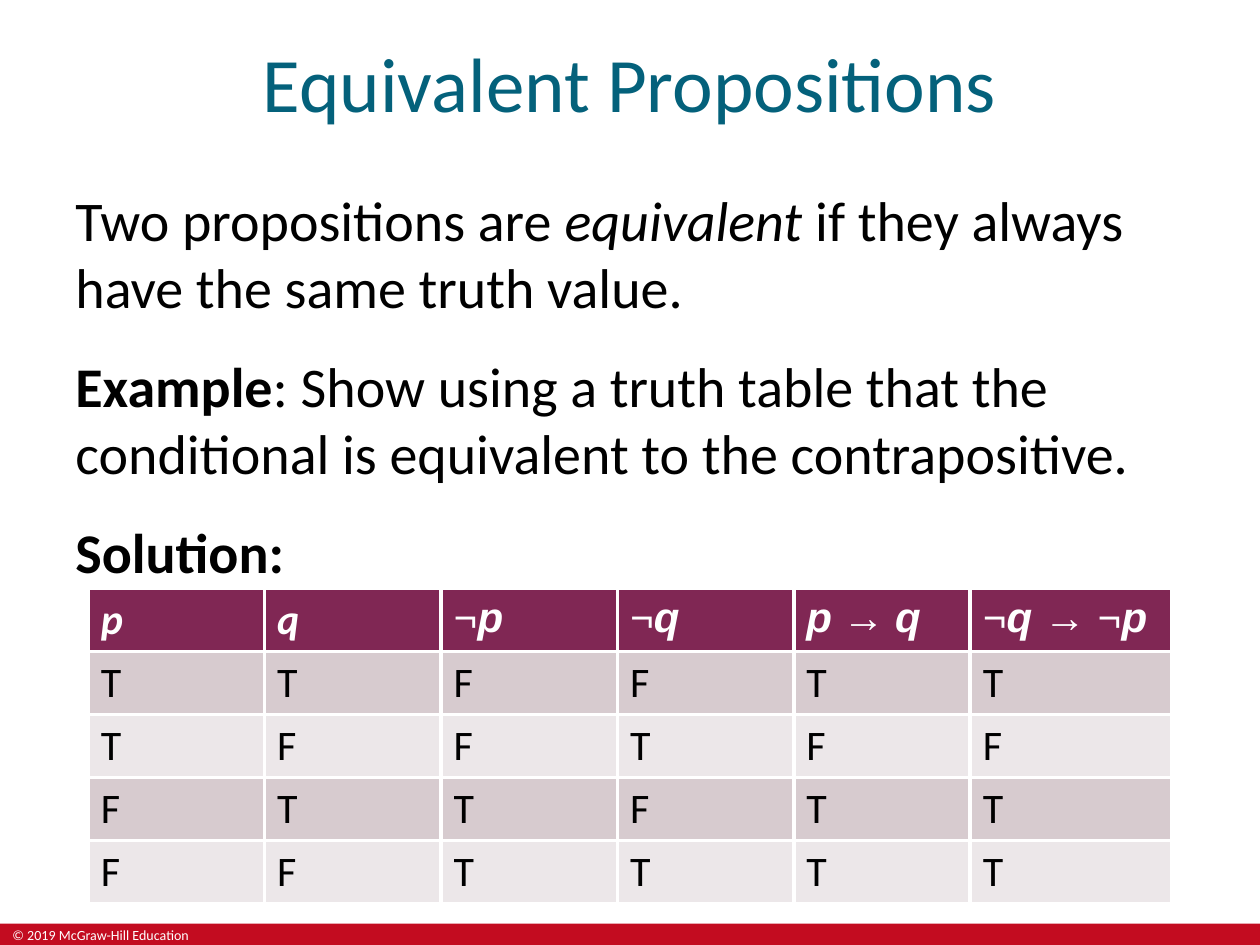
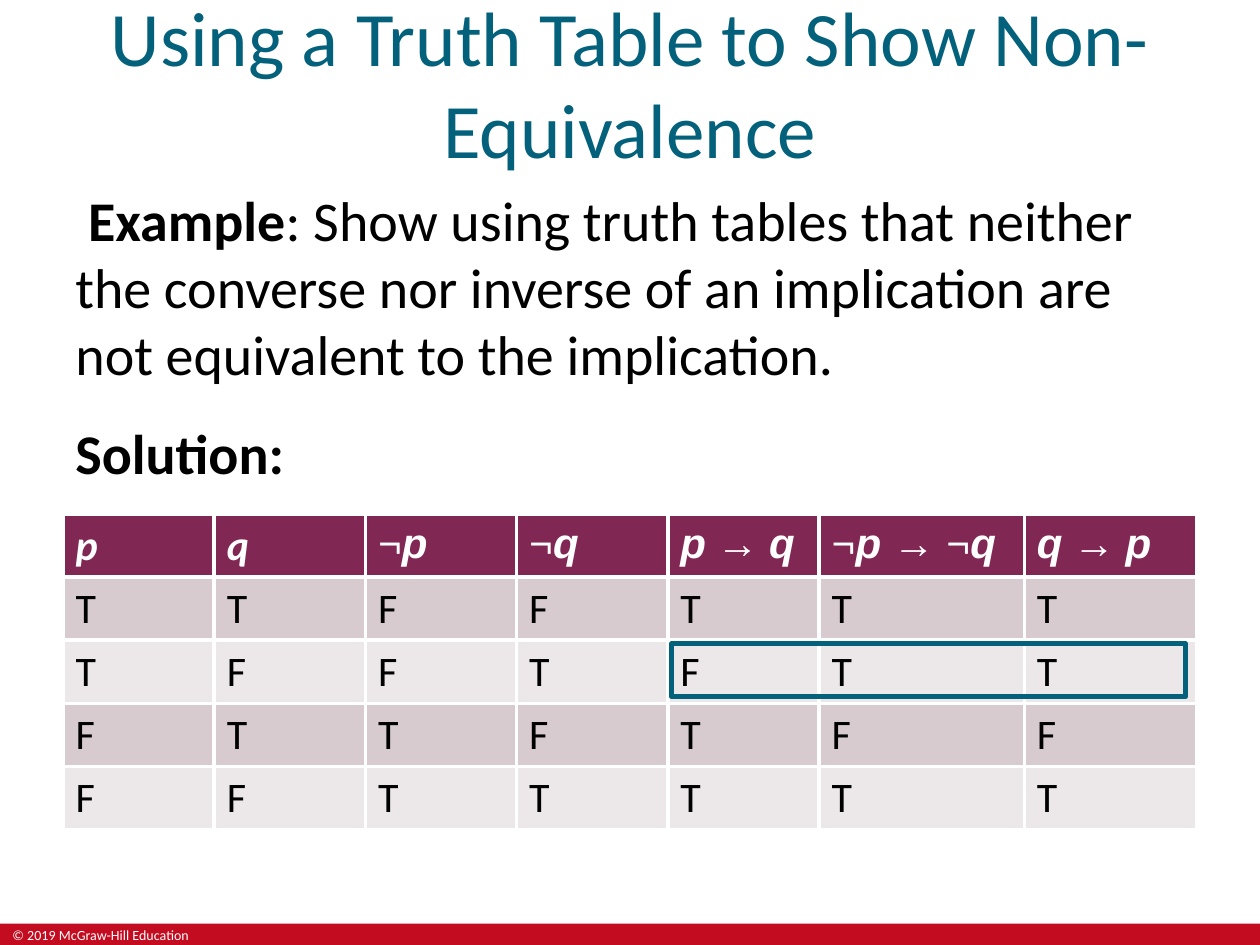
from itertools import product
from lxml import etree
from pptx import Presentation
from pptx.dml.color import RGBColor
from pptx.enum.shapes import MSO_SHAPE as Shape
from pptx.enum.text import MSO_ANCHOR as Anchor, PP_ALIGN as Align
from pptx.oxml import parse_xml
from pptx.oxml.ns import nsdecls
from pptx.util import Inches, Pt

TEAL = RGBColor(0x04, 0x61, 0x7B)
RED = RGBColor(0xC3, 0x0C, 0x20)
PLUM = RGBColor(0x80, 0x27, 0x54)
ROSE = RGBColor(0xD7, 0xCB, 0xCF)
PALE = RGBColor(0xEC, 0xE7, 0xE9)
WHITE = RGBColor(0xFF, 0xFF, 0xFF)
BLACK = RGBColor(0, 0, 0)

ARROW = " → "
P, Q = ("p",), ("q",)
NOT_P, NOT_Q = ("¬", "p"), ("¬", "q")
COND = ("p", ARROW, "q")
CONTRA = ("¬", "q", ARROW, "¬", "p")
INVERSE = ("¬", "p", ARROW, "¬", "q")
CONVERSE = ("q", ARROW, "p")

RULES = {
    P: lambda p, q: p,
    Q: lambda p, q: q,
    NOT_P: lambda p, q: not p,
    NOT_Q: lambda p, q: not q,
    COND: lambda p, q: not p or q,
    CONTRA: lambda p, q: q or not p,
    INVERSE: lambda p, q: p or not q,
    CONVERSE: lambda p, q: not q or p,
}

PAGES = [
    {
        "title": "Equivalent Propositions",
        "body": [
            [("Two propositions are ", {}), ("equivalent ", {"italic": True}),
             ("if they always have the same truth value.", {})],
            [("Example", {"bold": True}),
             (": Show using a truth table that the conditional is "
              "equivalent to the contrapositive.", {})],
            [("Solution:", {"bold": True})],
        ],
        "depth": 3.25,
        "left": 0.7,
        "top": 4.67,
        "heads": [P, Q, NOT_P, NOT_Q, COND, CONTRA],
        "wide": [1.4] * 5 + [1.6],
    },
    {
        "title": "Using a Truth Table to Show Non-Equivalence",
        "body": [
            [(" Example", {"bold": True}),
             (": Show using truth tables that neither the converse nor inverse "
              "of an implication are not equivalent to the implication.", {})],
            [("Solution:", {"bold": True})],
        ],
        "depth": 2.5,
        "left": 0.5,
        "top": 4.08,
        "heads": [P, Q, NOT_P, NOT_Q, COND, INVERSE, CONVERSE],
        "wide": [1.2] * 5 + [1.63, 1.37],
        "mark": (5.33, 5.11, 4.08, 0.42),
    },
]


def write(par, text, size=24, face="Calibri", color=BLACK, bold=False, italic=False):
    run = par.add_run()
    run.text = text
    font = run.font
    font.size, font.name = Pt(size), face
    font.bold, font.italic = bold, italic
    font.color.rgb = color


def edge(cell):
    props = cell._tc.get_or_add_tcPr()
    for n, side in enumerate(("lnL", "lnR", "lnT", "lnB")):
        line = parse_xml(f'<a:{side} {nsdecls("a")} w="{Pt(2.25)}"/>')
        fill = etree.SubElement(line, line.tag.replace(side, "solidFill"))
        tint = etree.SubElement(fill, line.tag.replace(side, "srgbClr"))
        tint.set("val", str(WHITE))
        props.insert(n, line)


deck = Presentation()
deck.slide_width, deck.slide_height = Inches(10), Inches(7.5)

for page in PAGES:
    slide = deck.slides.add_slide(deck.slide_layouts[6])
    shapes = slide.shapes

    band = shapes.add_shape(Shape.RECTANGLE, 0, Inches(7.33), Inches(10), Inches(0.17))
    band.shadow.inherit = False
    band.fill.solid()
    band.fill.fore_color.rgb = RED
    band.line.fill.background()

    foot = shapes.add_textbox(0, Inches(7.33), Inches(1.7), Inches(0.17)).text_frame
    foot.word_wrap = True
    foot.paragraphs[0].line_spacing = 0.8
    write(foot.paragraphs[0], "© 2019 McGraw-Hill Education", size=8, color=WHITE)

    title = shapes.add_textbox(0, 0, Inches(10), Inches(1.3)).text_frame
    title.word_wrap = True
    title.vertical_anchor = Anchor.MIDDLE
    title.paragraphs[0].alignment = Align.CENTER
    write(title.paragraphs[0], page["title"], size=44, color=TEAL)

    body = shapes.add_textbox(
        Inches(0.5), Inches(1.42), Inches(9.1), Inches(page["depth"])).text_frame
    body.word_wrap = True
    for n, parts in enumerate(page["body"]):
        par = body.add_paragraph() if n else body.paragraphs[0]
        if n:
            par.space_before = Pt(18)
        for text, style in parts:
            write(par, text, size=32, **style)

    heads, wide = page["heads"], page["wide"]
    grid = shapes.add_table(
        5, len(heads), Inches(page["left"]), Inches(page["top"]),
        Inches(sum(wide)), Inches(2.5)).table
    for col, width in zip(grid.columns, wide):
        col.width = Inches(width)
    for c, head in enumerate(heads):
        par = grid.cell(0, c).text_frame.paragraphs[0]
        for part in head:
            if len(head) == 1:
                face = "Calibri"
            elif part.isalpha() or (part == ARROW and "¬" in head):
                face = "Arial"
            else:
                face = "Times New Roman"
            write(par, part, face=face, color=WHITE, bold=True, italic=part.isalpha())
        for r, (p, q) in enumerate(product((True, False), repeat=2), 1):
            mark = "T" if RULES[head](p, q) else "F"
            write(grid.cell(r, c).text_frame.paragraphs[0], mark)
    for r, row in enumerate(grid.rows):
        row.height = Inches(0.5)
        for cell in row.cells:
            cell.fill.solid()
            cell.fill.fore_color.rgb = PLUM if r == 0 else ROSE if r % 2 else PALE
            edge(cell)

    if "mark" in page:
        frame = shapes.add_shape(Shape.RECTANGLE, *map(Inches, page["mark"]))
        frame.shadow.inherit = False
        frame.fill.background()
        frame.line.color.rgb = TEAL
        frame.line.width = Pt(3)

deck.save("out.pptx")
